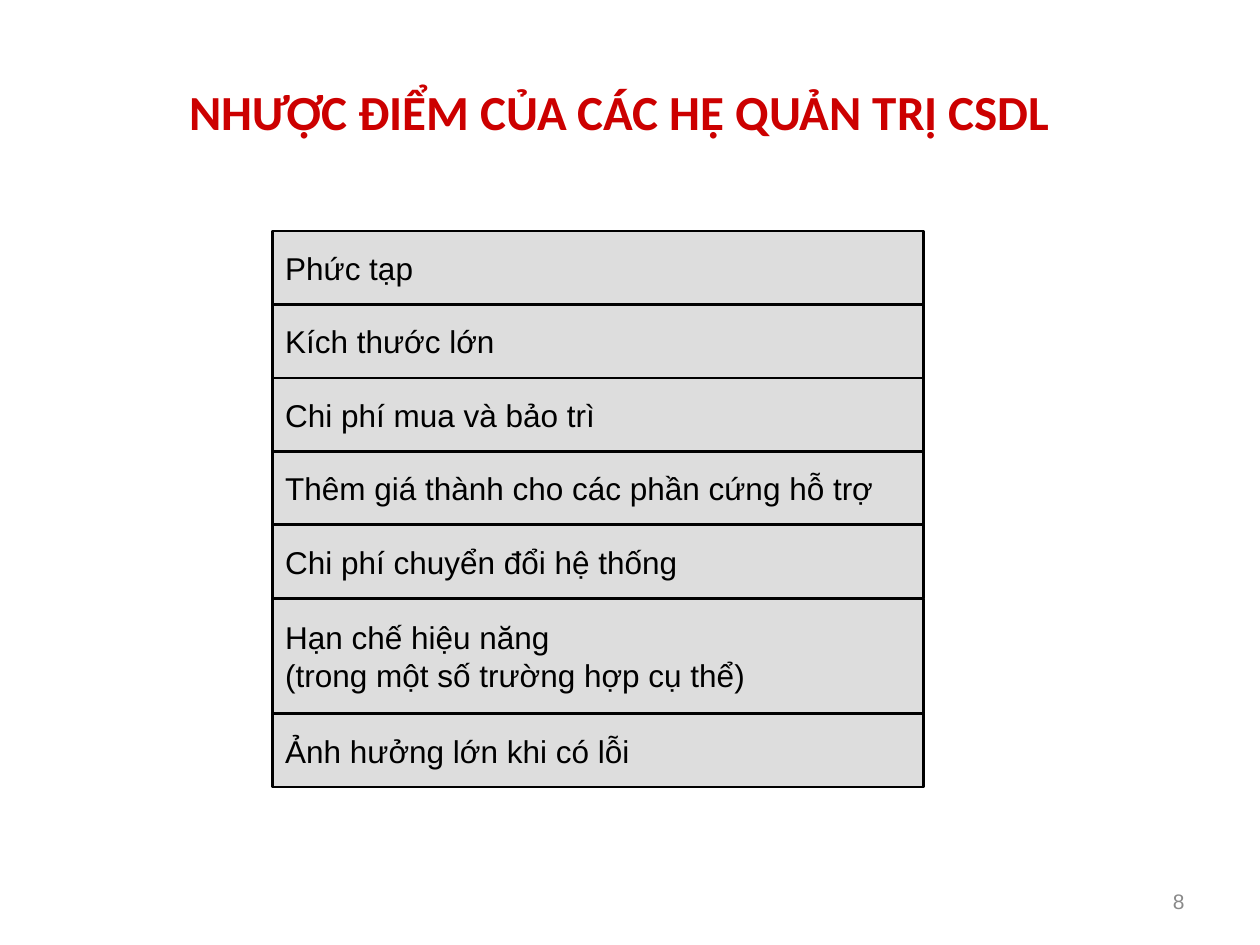
"""Build the slide listing the drawbacks of database management systems."""
from dataclasses import dataclass

from pptx import Presentation
from pptx.dml.color import RGBColor
from pptx.enum.shapes import MSO_SHAPE
from pptx.enum.text import MSO_ANCHOR, PP_ALIGN
from pptx.shapes.group import GroupShape
from pptx.text.text import TextFrame
from pptx.util import Cm, Pt

RECTANGLE = MSO_SHAPE.RECTANGLE
MIDDLE = MSO_ANCHOR.MIDDLE
LEFT, CENTER, RIGHT = PP_ALIGN.LEFT, PP_ALIGN.CENTER, PP_ALIGN.RIGHT


@dataclass(frozen=True)
class TextStyle:
    font: str
    size: float
    color: str
    align: PP_ALIGN
    bold: bool = False


@dataclass(frozen=True)
class Theme:
    row_fill: str = "DDDDDD"
    row_line: str = "000000"
    row_line_width: float = 1.5
    title: TextStyle = TextStyle("Calibri", 28, "CC0000", CENTER, True)
    row: TextStyle = TextStyle("Arial", 18, "000000", LEFT)
    number: TextStyle = TextStyle("Arial", 12, "898989", RIGHT)


@dataclass(frozen=True)
class Drawback:
    lines: tuple[str, ...]
    height: float = 1.48


THEME = Theme()
ROWS_LEFT, ROWS_TOP, ROWS_WIDTH = 5.5, 4.66, 13.12
DRAWBACKS = (
    Drawback(("Phức tạp",)),
    Drawback(("Kích thước lớn",)),
    Drawback(("Chi phí mua và bảo trì",)),
    Drawback(("Thêm giá thành cho các phần cứng hỗ trợ",)),
    Drawback(("Chi phí chuyển đổi hệ thống",)),
    Drawback(("Hạn chế hiệu năng", "(trong một số trường hợp cụ thể)"), 2.33),
    Drawback(("Ảnh hưởng lớn khi có lỗi",)),
)


def write_lines(frame: TextFrame, lines: tuple[str, ...], style: TextStyle) -> None:
    frame.vertical_anchor = MIDDLE
    for index, line in enumerate(lines):
        paragraph = frame.add_paragraph() if index else frame.paragraphs[0]
        paragraph.alignment = style.align
        run = paragraph.add_run()
        run.text = line
        run.font.name = style.font
        run.font.size = Pt(style.size)
        run.font.bold = style.bold
        run.font.color.rgb = RGBColor.from_string(style.color)


def draw_row(group: GroupShape, drawback: Drawback, top: float) -> None:
    row = group.shapes.add_shape(
        RECTANGLE, Cm(ROWS_LEFT), Cm(top), Cm(ROWS_WIDTH), Cm(drawback.height)
    )
    row.shadow.inherit = False
    row.fill.solid()
    row.fill.fore_color.rgb = RGBColor.from_string(THEME.row_fill)
    row.line.color.rgb = RGBColor.from_string(THEME.row_line)
    row.line.width = Pt(THEME.row_line_width)
    row.text_frame.word_wrap = False
    write_lines(row.text_frame, drawback.lines, THEME.row)


def main() -> None:
    presentation = Presentation()
    presentation.slide_width, presentation.slide_height = Cm(25.4), Cm(19.05)
    slide = presentation.slides.add_slide(presentation.slide_layouts[5])

    title = slide.shapes.title
    title.left, title.top, title.width, title.height = Cm(0.2), Cm(0.64), Cm(24.56), Cm(3.18)
    write_lines(title.text_frame, ("NHƯỢC ĐIỂM CỦA CÁC HỆ QUẢN TRỊ CSDL",), THEME.title)

    drawback_list = slide.shapes.add_group_shape()
    top = ROWS_TOP
    for drawback in DRAWBACKS:
        draw_row(drawback_list, drawback, top)
        top += drawback.height

    page_number = slide.shapes.add_textbox(Cm(18.2), Cm(17.65), Cm(5.93), Cm(1.02))
    page_number.text_frame.word_wrap = True
    write_lines(page_number.text_frame, ("8",), THEME.number)

    presentation.save("out.pptx")


if __name__ == "__main__":
    main()
